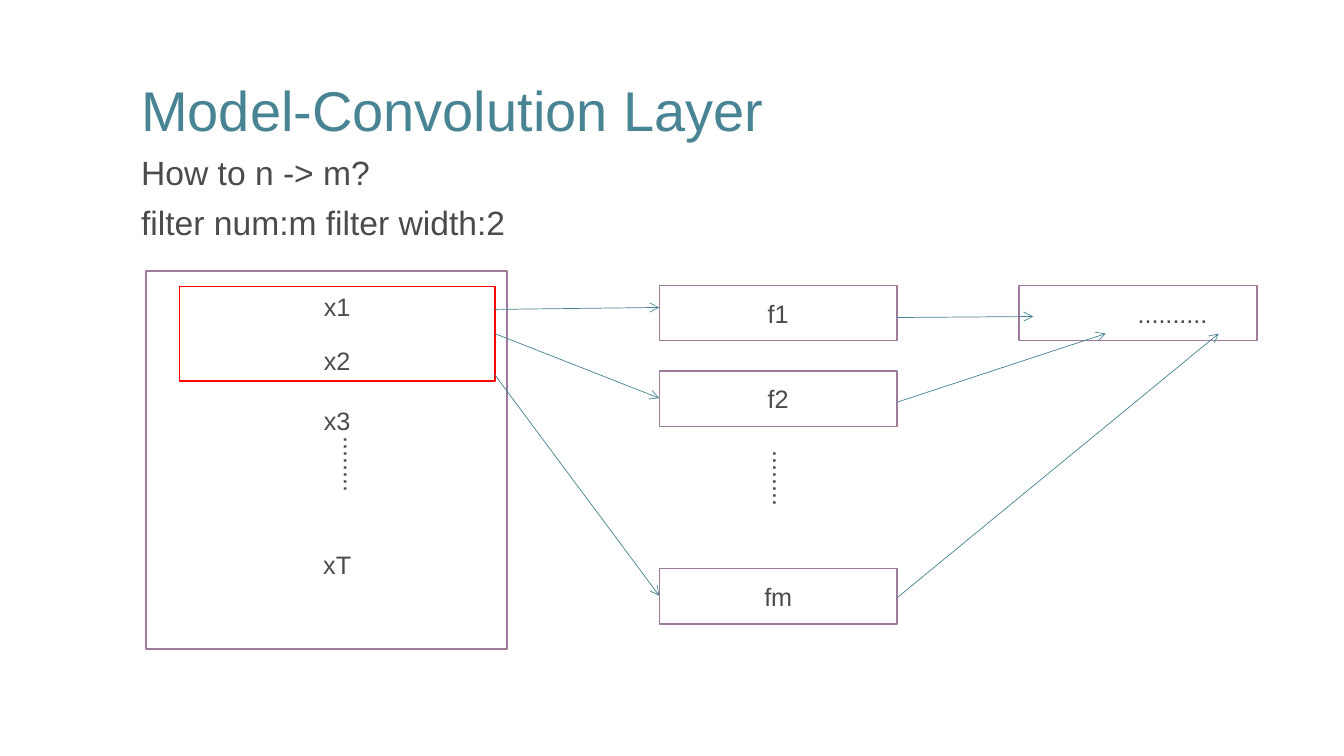
"""Build the convolution layer slide: an input window, m filters and their output."""
from dataclasses import dataclass

from lxml.etree import SubElement
from pptx import Presentation
from pptx.dml.color import RGBColor as Rgb
from pptx.enum.shapes import MSO_CONNECTOR as Connector, MSO_SHAPE as Preset
from pptx.enum.text import MSO_ANCHOR as Anchor, MSO_AUTO_SIZE as AutoSize, PP_ALIGN as Align
from pptx.oxml.ns import qn
from pptx.shapes.autoshape import Shape
from pptx.slide import Slide
from pptx.util import Emu, Inches, Pt

SLIDE_WIDTH, SLIDE_HEIGHT = Inches(13.33), Inches(7.5)
COLUMNS, ROWS = 40, 30


@dataclass(frozen=True)
class Theme:
    """Colours, font and type sizes of the slide."""
    font: str = "Arial"
    accent: Rgb = Rgb(0x48, 0x84, 0x93)
    ink: Rgb = Rgb(0x4B, 0x4B, 0x4B)
    paper: Rgb = Rgb(0xFF, 0xFF, 0xFF)
    border: Rgb = Rgb(0x9E, 0x7A, 0x9B)
    highlight: Rgb = Rgb(0xFF, 0x00, 0x00)
    title_size: float = 40
    body_size: float = 24
    label_size: float = 18
    border_width: float = 1
    arrow_width: float = 0.5


THEME = Theme()


@dataclass(frozen=True)
class Area:
    """A rectangle in grid columns and rows."""
    column: float
    row: float
    width: float
    height: float


@dataclass(frozen=True)
class Box:
    """An outlined rectangle with an optional label."""
    area: Area
    label: str = ""
    border: Rgb = THEME.border
    indent: float = 0.3


@dataclass(frozen=True)
class Caption:
    """A free label without an outline."""
    area: Area
    label: str
    vertical: bool = False


@dataclass(frozen=True)
class Arrow:
    """An arrow between two grid points."""
    start: tuple[float, float]
    end: tuple[float, float]


INPUT_LEFT, INPUT_WIDTH = 5.34, 9.39
INPUT_RIGHT = INPUT_LEFT + INPUT_WIDTH
FILTER_LEFT, FILTER_WIDTH, FILTER_HEIGHT = 19.62, 7.08, 2.2
FILTER_RIGHT = FILTER_LEFT + FILTER_WIDTH
FIRST_ROW = 11.32

HEADING = Area(3.9, 2.52, 32.19, 3.92)
QUESTION = Area(3.9, 6, 32.19, 21.4)

FILTERS = {"f1": FIRST_ROW, "f2": 14.72, "fm": 22.56}
INPUTS = {"x1": 11.36, "x2": 13.52, "x3": 15.88, "xT": 21.6}
ELLIPSES = [(9.63, 16.92), (22.41, 17.48)]

BOXES = [
    Box(Area(4.35, 10.76, 10.74, 15)),
    *(Box(Area(FILTER_LEFT, row, FILTER_WIDTH, FILTER_HEIGHT), name)
      for name, row in FILTERS.items()),
    Box(Area(INPUT_LEFT, INPUTS["x1"], INPUT_WIDTH, 3.76), border=THEME.highlight),
    Box(Area(30.33, FIRST_ROW, FILTER_WIDTH, FILTER_HEIGHT), "..........", indent=2.35),
]
CAPTIONS = [
    *(Caption(Area(INPUT_LEFT, row, INPUT_WIDTH, 1.6), name) for name, row in INPUTS.items()),
    *(Caption(Area(column, row, 1.5, 4.68), "........", vertical=True)
      for column, row in ELLIPSES),
]
ARROWS = [
    Arrow((INPUT_RIGHT, 12.28), (FILTER_LEFT, 12.2)),
    Arrow((INPUT_RIGHT, 13.24), (FILTER_LEFT, 15.8)),
    Arrow((INPUT_RIGHT, 14.88), (FILTER_LEFT, 23.64)),
    Arrow((FILTER_RIGHT, 12.6), (30.75, 12.56)),
    Arrow((FILTER_RIGHT, 15.96), (32.91, 13.24)),
    Arrow((FILTER_RIGHT, 23.72), (36.27, 13.24)),
]


def across(columns: float) -> Emu:
    """Turn grid columns into a length."""
    return Emu(round(SLIDE_WIDTH * columns / COLUMNS))


def down(rows: float) -> Emu:
    """Turn grid rows into a length."""
    return Emu(round(SLIDE_HEIGHT * rows / ROWS))


def place(area: Area) -> tuple[Emu, Emu, Emu, Emu]:
    """Give left, top, width and height of an area."""
    return across(area.column), down(area.row), across(area.width), down(area.height)


def write(holder: Shape, text: str, *, size: float = THEME.label_size, color: Rgb = THEME.ink,
          align: Align = Align.CENTER, anchor: Anchor = Anchor.TOP, spacing: float = 1,
          before: float = 0, indent: float = 0.3) -> None:
    """Fill a shape with one formatted paragraph per line of text."""
    frame = holder.text_frame
    frame.word_wrap = True
    frame.vertical_anchor = anchor
    frame.margin_left = across(indent)
    for index, line in enumerate(text.split("\n")):
        paragraph = frame.add_paragraph() if index else frame.paragraphs[0]
        paragraph.alignment = align
        paragraph.line_spacing = spacing
        if index:
            paragraph.space_before = Pt(before)
        run = paragraph.add_run()
        run.text = line
        run.font.name, run.font.size = THEME.font, Pt(size)
        run.font.color.rgb = color


def draw_box(slide: Slide, box: Box) -> None:
    """Draw an outlined rectangle and its label."""
    outline = slide.shapes.add_shape(Preset.RECTANGLE, *place(box.area))
    outline.shadow.inherit = False
    outline.fill.solid()
    outline.fill.fore_color.rgb = THEME.paper
    outline.line.color.rgb = box.border
    outline.line.width = Pt(THEME.border_width)
    if box.label:
        write(outline, box.label, anchor=Anchor.MIDDLE, indent=box.indent)


def draw_caption(slide: Slide, caption: Caption) -> None:
    """Draw a free label, upright or running downwards."""
    label = slide.shapes.add_textbox(*place(caption.area))
    write(label, caption.label)
    label.text_frame.auto_size = AutoSize.SHAPE_TO_FIT_TEXT
    if caption.vertical:
        label.element.txBody.find(qn("a:bodyPr")).set("vert", "eaVert")


def draw_arrow(slide: Slide, arrow: Arrow) -> None:
    """Draw a thin line with an open arrowhead at its end."""
    (start_column, start_row), (end_column, end_row) = arrow.start, arrow.end
    link = slide.shapes.add_connector(Connector.STRAIGHT, across(start_column), down(start_row),
                                      across(end_column), down(end_row))
    link.line.color.rgb = THEME.accent
    link.line.width = Pt(THEME.arrow_width)
    properties = link.element.spPr
    SubElement(properties.find(qn("a:ln")), qn("a:tailEnd"), type="arrow")
    SubElement(properties, qn("a:effectLst"))


def main() -> None:
    """Build the slide and save it."""
    deck = Presentation()
    deck.slide_width, deck.slide_height = SLIDE_WIDTH, SLIDE_HEIGHT
    slide = deck.slides.add_slide(deck.slide_layouts[6])
    write(slide.shapes.add_textbox(*place(HEADING)), "Model-Convolution Layer",
          size=THEME.title_size, color=THEME.accent, align=Align.LEFT,
          anchor=Anchor.MIDDLE, spacing=0.9)
    write(slide.shapes.add_textbox(*place(QUESTION)),
          "How to n -> m?\nfilter num:m filter width:2",
          size=THEME.body_size, align=Align.JUSTIFY, spacing=0.9, before=10)
    for box in BOXES:
        draw_box(slide, box)
    for caption in CAPTIONS:
        draw_caption(slide, caption)
    for arrow in ARROWS:
        draw_arrow(slide, arrow)
    deck.save("out.pptx")


if __name__ == "__main__":
    main()
